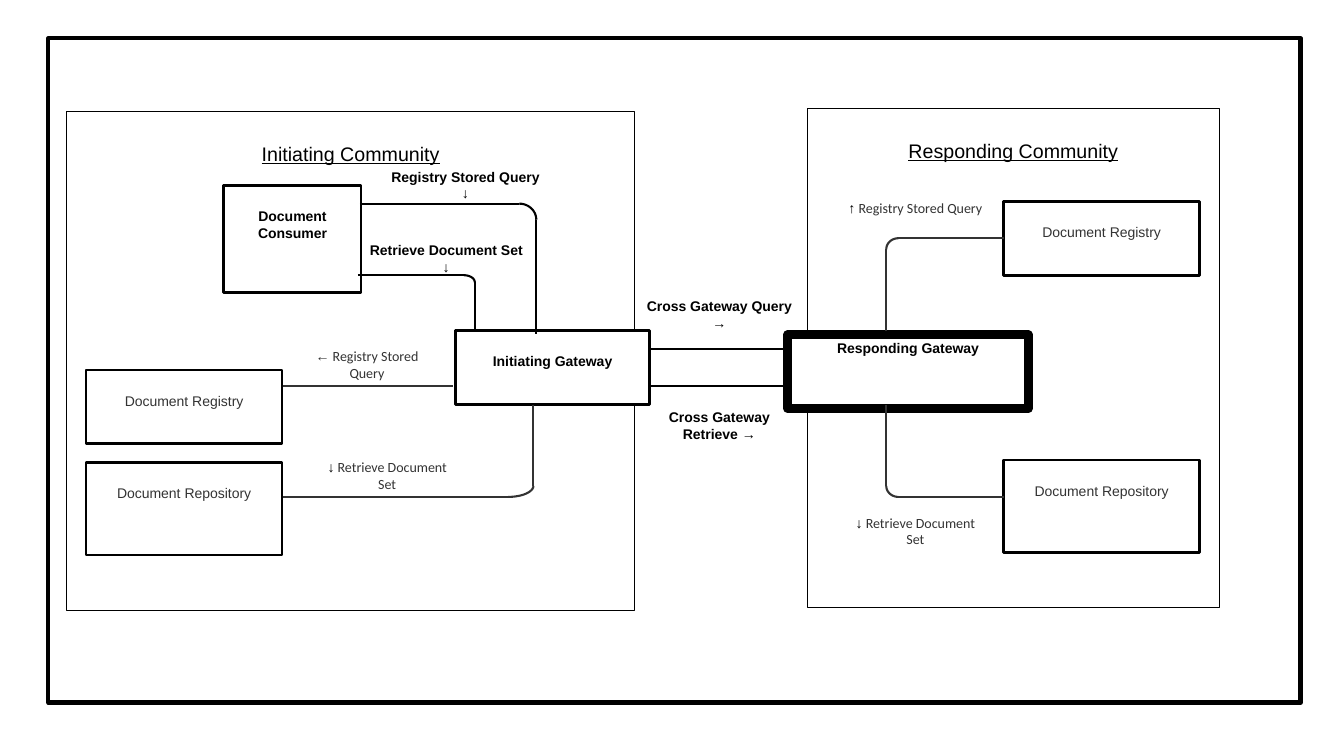
import math

import lxml.etree
import pptx
import pptx.dml.color
import pptx.enum.shapes
import pptx.enum.text
import pptx.oxml.ns
import pptx.util

INK = {"black": "000000", "grey": "333333", "white": "FFFFFF"}
LEFT, TOP = 0.62, 1.08
COL, ROW = 7 / 36, 0.55 / 3


def across(col):
    return pptx.util.Inches(LEFT + col * COL)


def down(row):
    return pptx.util.Inches(TOP + row * ROW)


def place(cell):
    """Turn column, row, columns wide and rows high into lengths."""
    col, row, wide, high = cell
    return (across(col), down(row),
            pptx.util.Inches(wide * COL), pptx.util.Inches(high * ROW))


def tint(ink):
    return pptx.dml.color.RGBColor.from_string(INK[ink])


def stroke(line, ink, width):
    line.color.rgb = tint(ink)
    line.width = pptx.util.Pt(width)


def style(run, face, ink, size=10, bold=False, under=False):
    font = run.font
    font.name, font.size = face, pptx.util.Pt(size)
    font.bold, font.underline = bold, under
    font.color.rgb = tint(ink)


def set_up(frame, drop):
    """Wrap and centre the text, starting it drop inches below the top."""
    frame.word_wrap = True
    frame.vertical_anchor = pptx.enum.text.MSO_ANCHOR.TOP
    frame.margin_top = pptx.util.Inches(drop)
    frame.paragraphs[0].alignment = pptx.enum.text.PP_ALIGN.CENTER


def add_box(slide, cell, text="", width=2, drop=0.22, fill=True, ink="black", **look):
    box = slide.shapes.add_shape(
        pptx.enum.shapes.MSO_SHAPE.RECTANGLE, *place(cell))
    box.shadow.inherit = False
    stroke(box.line, "black", width)
    if fill:
        box.fill.solid()
        box.fill.fore_color.rgb = tint("white")
    else:
        box.fill.background()
    if text:
        box.text_frame.text = text
        set_up(box.text_frame, drop)
        style(box.text_frame.paragraphs[0].runs[0], "Arial", ink, **look)
    return box


def add_label(slide, cell, parts, drop, bold=False):
    """Write parts, each a text with its font and ink, in one paragraph."""
    frame = slide.shapes.add_textbox(*place(cell)).text_frame
    set_up(frame, drop)
    if not bold:
        frame.margin_left = frame.margin_right = frame.margin_bottom = 0
    for text, face, ink in parts:
        run = frame.paragraphs[0].add_run()
        run.text = text
        style(run, face, ink, bold=bold)


def add_strong(slide, col, row, text, arrow):
    parts = [(text + " ", "Arial", "black"), (arrow, "Times New Roman", "black")]
    add_label(slide, (col, row, 9, 4), parts, 0.22, bold=True)


def add_light(slide, col, row, arrow, text, ink="black"):
    parts = [(arrow, "Times New Roman", ink), (" " + text, "Calibri", "grey")]
    add_label(slide, (col, row, 7, 3), parts, 0.17)


def add_line(slide, start, end, ink):
    line = slide.shapes.add_connector(
        pptx.enum.shapes.MSO_CONNECTOR.STRAIGHT,
        across(start[0]), down(start[1]), across(end[0]), down(end[1]))
    stroke(line.line, ink, 1.5)
    lxml.etree.SubElement(line._element.spPr, pptx.oxml.ns.qn("a:effectLst"))
    return line


def add_pipe(slide, start, turn, end, bend, ink):
    """Run level along row turn[1], round the turn, then upright to row end.

    bend gives the signed columns and rows that the round corner takes.
    """
    col, row = turn
    wide, high = bend
    level = add_line(slide, (start, row), (col + wide, row), ink)
    points = []
    for step in range(13):
        angle = math.pi / 2 * step / 12
        points.append((across(col + wide * (1 - math.sin(angle))),
                       down(row + high * (1 - math.cos(angle)))))
    build = slide.shapes.build_freeform(*points[0])
    build.add_line_segments(points[1:], close=False)
    curve = build.convert_to_shape()
    curve.shadow.inherit = False
    curve.fill.background()
    stroke(curve.line, ink, 1.5)
    add_line(slide, (col, row + high), (col, end), ink)
    return level


def add_left(slide):
    add_box(slide, (0.2, 0.16, 29, 27), "Initiating Community",
            width=0.75, drop=0.3, size=14, under=True)
    add_box(slide, (20.06, 12, 9.87, 4), "Initiating Gateway", bold=True)
    add_box(slide, (8.23, 4.15, 7, 5.78), "Document Consumer", bold=True)
    add_strong(slide, 16.05, 2, "Registry Stored Query", "↓")
    add_strong(slide, 15.07, 6, "Retrieve Document Set", "↓")
    add_pipe(slide, 15.07, (21.03, 9), 12, (-0.57, 0.38), "black")
    add_pipe(slide, 15.17, (24.17, 5.13), 12.16, (-0.87, 0.87), "black")
    add_light(slide, 12.03, 12, "←", "Registry Stored Query", "grey")
    add_light(slide, 13.06, 18, "↓", "Retrieve Document Set")
    add_line(slide, (19.9, 15), (11.06, 15), "grey")
    add_pipe(slide, 11.06, (24.02, 21), 16, (-1.29, -0.6), "grey")
    add_box(slide, (1.2, 14.13, 10, 4), "Document Registry", ink="grey")
    add_box(slide, (1.2, 19.15, 10, 5), "Document Repository", ink="grey")


def add_right(slide):
    add_box(slide, (38, 0, 21, 27), "Responding Community",
            width=0.75, drop=0.3, size=14, under=True)
    add_box(slide, (36.98, 12.22, 12.29, 4), "Responding Gateway",
            width=6, drop=0.05, bold=True)
    store = add_box(slide, (48, 5, 10, 4), "Document Registry", ink="grey")
    add_box(slide, (48, 19, 10, 5), "Document Repository", ink="grey")
    level = add_pipe(slide, 48, (42.02, 7), 12, (0.62, 0.6), "grey")
    level.begin_connect(store, 1)
    add_pipe(slide, 48, (42.02, 21), 16, (0.62, -0.6), "grey")
    add_light(slide, 40, 4, "↑", "Registry Stored Query")
    add_light(slide, 40, 21, "↓", "Retrieve Document Set")


def add_cross(slide):
    for row in (13, 15):
        add_line(slide, (37.03, row), (30.03, row), "black")
    add_strong(slide, 29, 9, "Cross Gateway Query", "→")
    add_strong(slide, 29, 15, "Cross Gateway Retrieve", "→")


def main():
    deck = pptx.Presentation()
    deck.slide_width = pptx.util.Inches(13.33)
    deck.slide_height = pptx.util.Inches(7.5)
    slide = deck.slides.add_slide(deck.slide_layouts[6])
    add_right(slide)
    add_left(slide)
    add_cross(slide)
    add_box(slide, (-0.72, -3.82, 63.87, 35.95), width=3, fill=False)
    deck.save("out.pptx")


if __name__ == "__main__":
    main()
